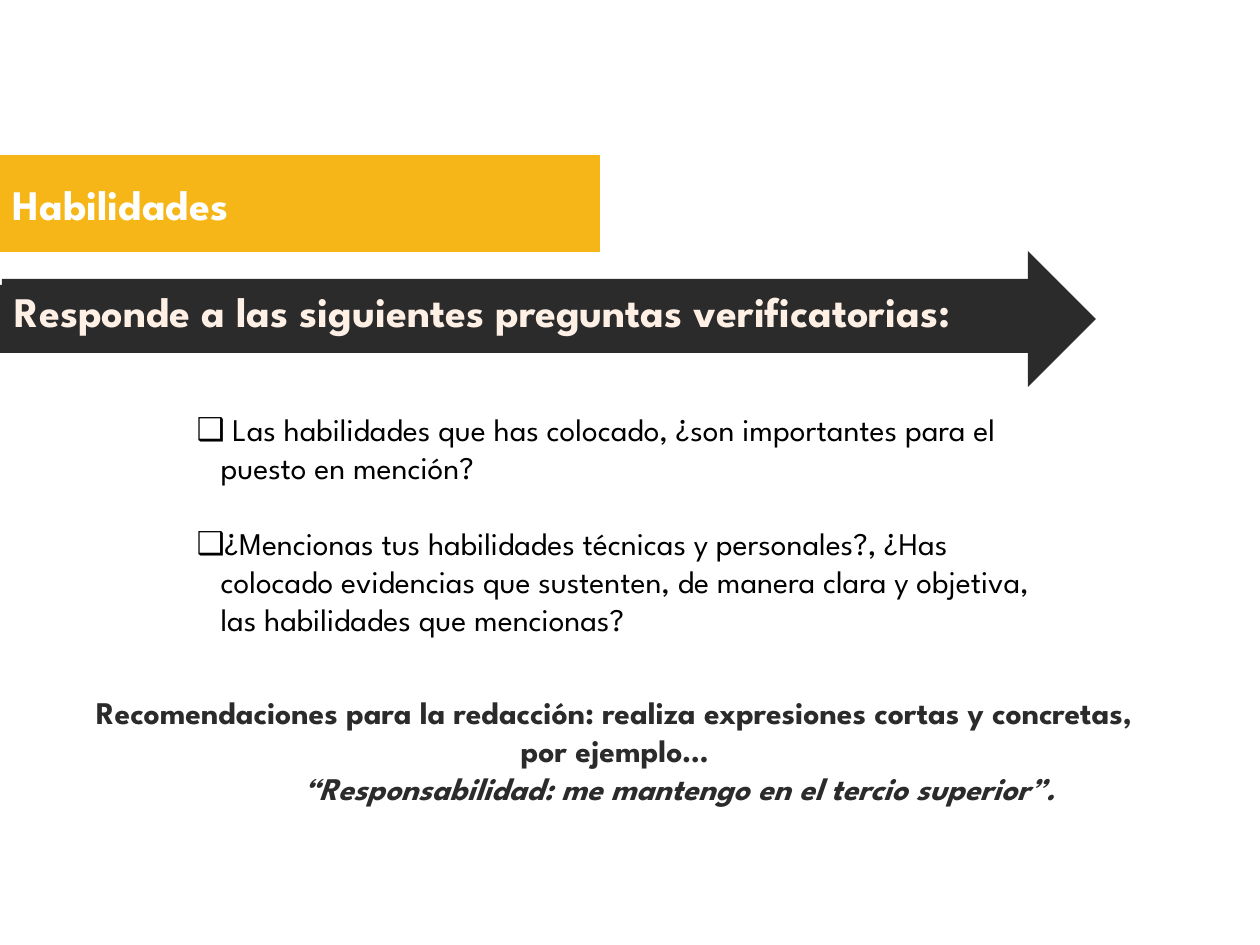
"""Build the "Habilidades" slide: two arrow banners, a checklist and a writing tip."""
from lxml import etree
from pptx import Presentation
from pptx.dml.color import RGBColor
from pptx.enum.shapes import MSO_SHAPE
from pptx.enum.text import MSO_ANCHOR, MSO_AUTO_SIZE, PP_ALIGN
from pptx.oxml.ns import qn
from pptx.util import Pt

RIGHT_ARROW, RECTANGLE = MSO_SHAPE.RIGHT_ARROW, MSO_SHAPE.RECTANGLE
TOP, MIDDLE = MSO_ANCHOR.TOP, MSO_ANCHOR.MIDDLE
LEFT, CENTER = PP_ALIGN.LEFT, PP_ALIGN.CENTER
NO_FIT = MSO_AUTO_SIZE.NONE

PX = 914400 / 126
FONT = "League Spartan"
COLORS = {"yellow": "F7B617", "dark": "2B2B2B", "white": "FFFFFF",
          "cream": "FFF0E6", "black": "000000"}

TITLE = "Habilidades"
PROMPT = "Responde a las siguientes preguntas verificatorias:"
QUESTIONS = [
    " Las habilidades que has colocado, ¿son importantes para el puesto en mención?",
    "¿Mencionas tus habilidades técnicas y personales?, ¿Has colocado evidencias que "
    "sustenten, de manera clara y objetiva, las habilidades que mencionas?",
]
ADVICE = [
    "Recomendaciones para la redacción: realiza expresiones cortas y concretas, por ejemplo…",
    "“Responsabilidad: me mantengo en el tercio superior”.",
]
PLACES = {
    "title": (0, 155, 600, 97),
    "arrow": (0, 251, 1096, 136),
    "prompt": (2, 279, 1047, 68),
    "questions": (184, 404, 883, 214),
    "advice": (79, 687, 1071, 81),
}
BULLET, BULLET_INDENT = "❑", 24
QUOTE_INDENT = 130
QUESTION_GAP = 22


def emu(px):
    return round(px * PX)


def place(name):
    return [emu(px) for px in PLACES[name]]


def color(name):
    return RGBColor.from_string(COLORS[name])


def paint(shape, name):
    shape.fill.solid()
    shape.fill.fore_color.rgb = color(name)
    shape.line.fill.background()


def move(shape, name):
    for side, value in zip(("left", "top", "width", "height"), place(name)):
        setattr(shape, side, value)


def write(shape, texts, size, tint, bold=False, align=LEFT, anchor=TOP):
    frame = shape.text_frame
    settings = {"word_wrap": True, "auto_size": NO_FIT, "vertical_anchor": anchor,
                "margin_left": emu(12.6), "margin_right": emu(12.6),
                "margin_top": emu(6.3), "margin_bottom": emu(6.3)}
    for key, value in settings.items():
        setattr(frame, key, value)
    for index, text in enumerate(texts):
        para = frame.add_paragraph() if index else frame.paragraphs[0]
        para.alignment, para.space_before = align, Pt(0)
        span = para.add_run()
        span.text = text
        for key, value in {"name": FONT, "size": Pt(size), "bold": bold}.items():
            setattr(span.font, key, value)
        span.font.color.rgb = color(tint)
    return frame.paragraphs


def add_bullet(para):
    props = para._p.get_or_add_pPr()
    props.set("marL", str(emu(BULLET_INDENT)))
    props.set("indent", str(-emu(BULLET_INDENT)))
    bullet_color = etree.SubElement(props, qn("a:buClr"))
    etree.SubElement(bullet_color, qn("a:srgbClr"), val=COLORS["black"])
    etree.SubElement(props, qn("a:buChar"), char=BULLET)


def add_title(page):
    title = page.shapes.title
    move(title, "title")
    outline = etree.SubElement(title._element.spPr, qn("a:prstGeom"), prst="homePlate")
    etree.SubElement(outline, qn("a:avLst"))
    paint(title, "yellow")
    write(title, [TITLE], 24, "white", bold=True, anchor=MIDDLE)


def add_prompt(page):
    banner = page.shapes.add_group_shape()
    for kind, name in ((RIGHT_ARROW, "arrow"), (RECTANGLE, "prompt")):
        shape = banner.shapes.add_shape(kind, *place(name))
        shape.shadow.inherit = False
        paint(shape, "dark")
    write(shape, [PROMPT], 24, "cream", bold=True)


def add_questions(page):
    body = page.placeholders[1]
    move(body, "questions")
    paras = write(body, QUESTIONS, 18, "black")
    for para in paras:
        add_bullet(para)
    for para in paras[1:]:
        para.space_before = Pt(QUESTION_GAP)


def add_advice(page):
    box = page.shapes.add_textbox(*place("advice"))
    quote = write(box, ADVICE, 18, "dark", bold=True, align=CENTER)[-1]
    quote.runs[0].font.italic = True
    quote._p.get_or_add_pPr().set("marL", str(emu(QUOTE_INDENT)))


def main():
    deck = Presentation()
    deck.slide_width, deck.slide_height = emu(1260), emu(945)
    page = deck.slides.add_slide(deck.slide_layouts[1])
    for add_part in (add_title, add_prompt, add_questions, add_advice):
        add_part(page)
    deck.save("out.pptx")


if __name__ == "__main__":
    main()
